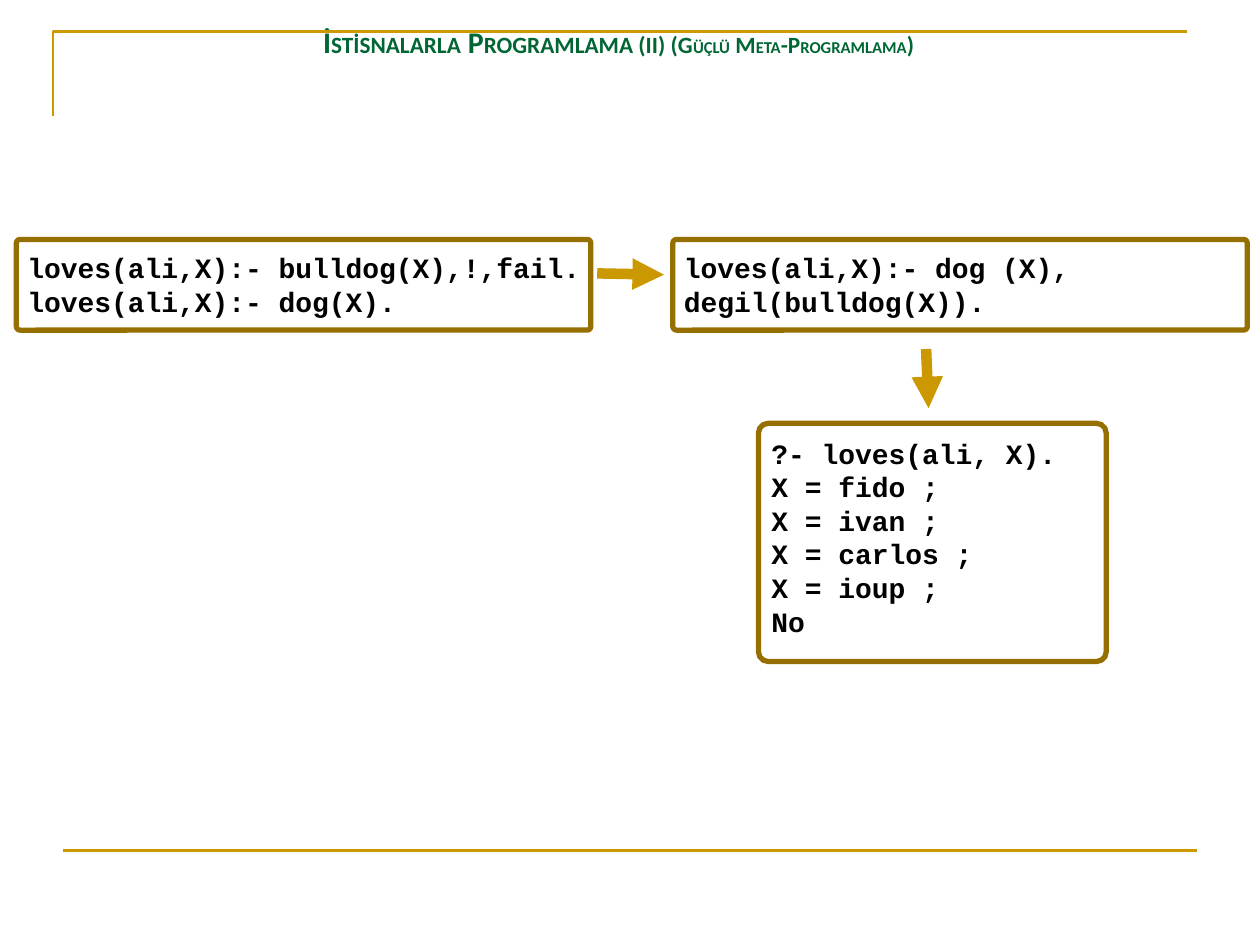
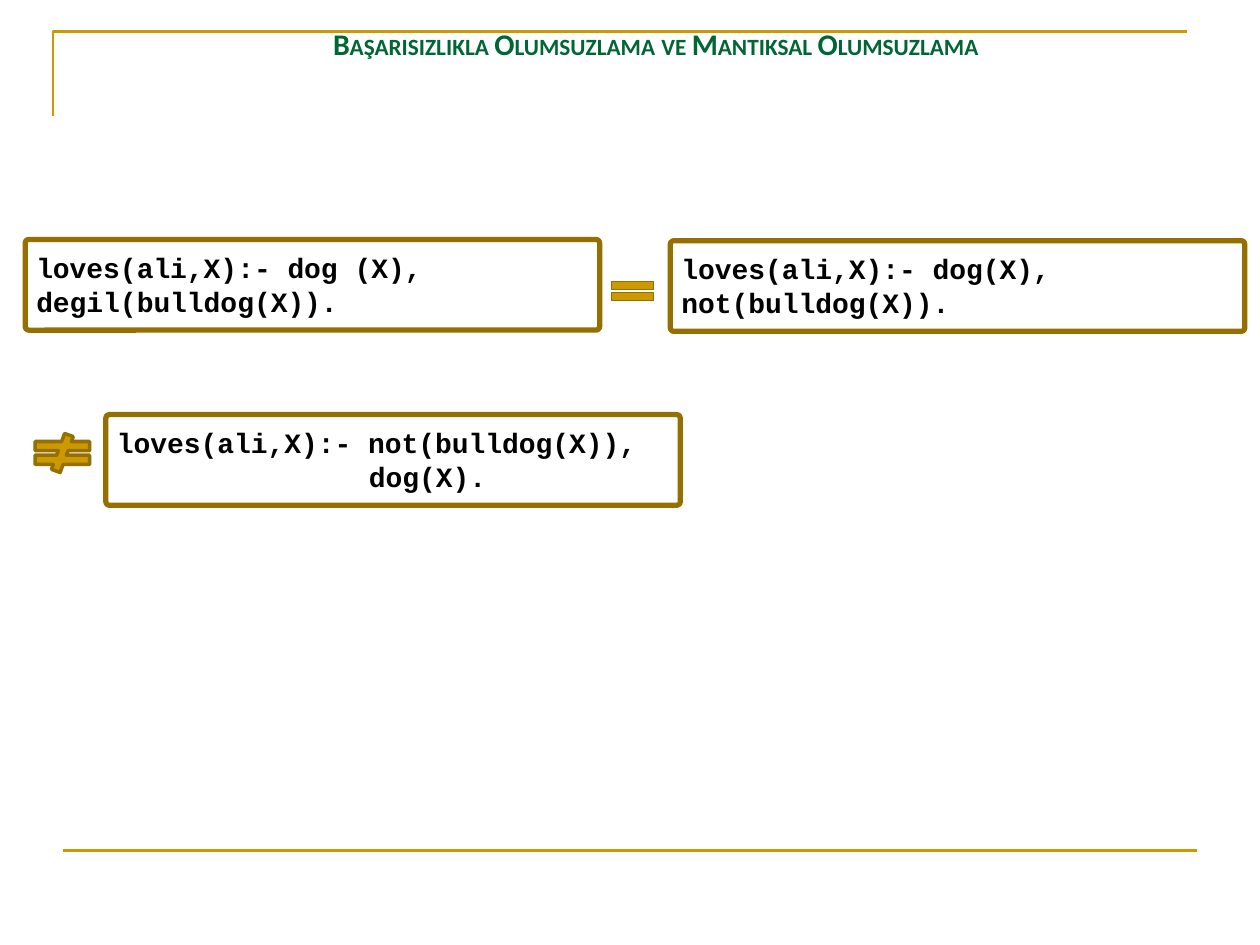
from lxml import etree
from pptx import Presentation
from pptx.dml.color import RGBColor
from pptx.enum.shapes import MSO_CONNECTOR, MSO_SHAPE
from pptx.enum.text import MSO_ANCHOR, MSO_AUTO_SIZE, PP_ALIGN
from pptx.oxml.ns import qn
from pptx.util import Inches, Pt

STRAIGHT = MSO_CONNECTOR.STRAIGHT
ROUNDED = MSO_SHAPE.ROUNDED_RECTANGLE
EQUAL, NOT_EQUAL = MSO_SHAPE.MATH_EQUAL, MSO_SHAPE.MATH_NOT_EQUAL
TOP = MSO_ANCHOR.TOP
CENTER, LEFT = PP_ALIGN.CENTER, PP_ALIGN.LEFT
NO_AUTOFIT = MSO_AUTO_SIZE.NONE

GOLD = RGBColor(0xCC, 0x99, 0x00)
ARROW_GOLD = RGBColor(0xCC, 0x98, 0x00)
BROWN = RGBColor(0x95, 0x6F, 0x00)
GREEN = RGBColor(0x00, 0x66, 0x33)
BLACK = RGBColor(0x00, 0x00, 0x00)

TITLE_FONT, CODE_FONT = "Calibri", "Courier New"
BIG, MID, SMALL = 17.1, 13.3, 9.5  # title capitals and small capitals
CODE_SIZE = (4.56, 0.72)


def style_line(shape, color, width):
    shape.line.color.rgb = color
    shape.line.width = Pt(width)


def add_line(page, start, end, color, width, arrow=False):
    line = page.shapes.add_connector(
        STRAIGHT, *(Inches(value) for value in (*start, *end)))
    style_line(line, color, width)
    properties = line._element.spPr
    if arrow:
        outline = properties.find(qn("a:ln"))
        etree.SubElement(outline, qn("a:tailEnd"), type="triangle")
    etree.SubElement(properties, qn("a:effectLst"))


def add_page_rules(page):
    """Corner bracket at the top and rule at the foot."""
    builder = page.shapes.build_freeform(Inches(0.42), Inches(0.92))
    builder.add_line_segments(
        [(Inches(0.42), Inches(0.25)), (Inches(9.42), Inches(0.25))], close=False)
    bracket = builder.convert_to_shape()
    bracket.shadow.inherit = False
    bracket.fill.background()
    style_line(bracket, GOLD, 1.5)
    add_line(page, (0.5, 6.75), (9.5, 6.75), GOLD, 1.5)


def add_title(page, left, top, width, spans):
    title = page.shapes.title
    title.left, title.top = Inches(left), Inches(top)
    title.width, title.height = Inches(width), Inches(0.81)
    frame = title.text_frame
    frame.auto_size = NO_AUTOFIT
    frame.vertical_anchor = TOP
    para = frame.paragraphs[0]
    para.alignment = CENTER
    para.line_spacing = 0.8
    para.font.name = TITLE_FONT
    para.font.bold = True
    para.font.color.rgb = GREEN
    for text, size in spans:
        span = para.add_run()
        span.text = text
        span.font.size = Pt(size)


def add_page(deck, title_left, title_top, title_width, title_spans):
    page = deck.slides.add_slide(deck.slide_layouts[5])
    add_page_rules(page)
    add_title(page, title_left, title_top, title_width, title_spans)
    return page


def add_code(page, left, top, lines, size=CODE_SIZE, last_indent=0):
    """Rounded frame with one paragraph for each line of code."""
    box = page.shapes.add_shape(
        ROUNDED, *(Inches(value) for value in (left, top, *size)))
    box.adjustments[0] = 0.04
    box.shadow.inherit = False
    box.fill.background()
    style_line(box, BROWN, 3)
    frame = box.text_frame
    frame.word_wrap = True
    frame.vertical_anchor = TOP
    frame.margin_left = frame.margin_top = Inches(0.08)
    frame.margin_right = frame.margin_bottom = 0
    for number, line in enumerate(lines):
        para = frame.add_paragraph() if number else frame.paragraphs[0]
        para.text = line
        para.alignment = LEFT
        para.font.name = CODE_FONT
        para.font.size = Pt(16)
        para.font.bold = True
        para.font.color.rgb = BLACK
    if last_indent:
        para._p.get_or_add_pPr().set("marL", str(Inches(last_indent)))


def add_sign(page, kind, left, top, width, height, line_width):
    sign = page.shapes.add_shape(
        kind, Inches(left), Inches(top), Inches(width), Inches(height))
    sign.shadow.inherit = False
    sign.fill.solid()
    sign.fill.fore_color.rgb = GOLD
    style_line(sign, BROWN, line_width)


def add_exceptions_page(deck):
    page = add_page(deck, 0.41, 0.19, 9, [
        ("İ", BIG), ("STİSNALARLA", MID), (" P", BIG),
        ("ROGRAMLAMA (II) (G", MID), ("ÜÇLÜ", SMALL), (" M", MID),
        ("ETA", SMALL), ("-P", MID), ("ROGRAMLAMA", SMALL), (")", MID)])
    # Rule with a cut, rewritten without it
    add_code(page, 0.13, 1.9, ["loves(ali,X):- bulldog(X),!,fail.",
                               "loves(ali,X):- dog(X)."])
    add_line(page, (4.74, 2.17), (5.27, 2.18), ARROW_GOLD, 6, arrow=True)
    add_code(page, 5.34, 1.9, ["loves(ali,X):- dog (X),", "degil(bulldog(X))."])
    # Query and its answers
    add_line(page, (7.35, 2.77), (7.37, 3.24), ARROW_GOLD, 6, arrow=True)
    names = ["fido", "ivan", "carlos", "ioup"]
    answers = [f"X = {name} ;" for name in names]
    add_code(page, 6.02, 3.36, ["?- loves(ali, X).", *answers, "No"],
             size=(2.76, 1.89))


def add_negation_page(deck):
    page = add_page(deck, 0.27, 0.21, 9.87, [
        ("B", BIG), ("AŞARISIZLIKLA ", MID), ("O", BIG), ("LUMSUZLAMA", MID),
        (" ", 15.2), ("VE ", MID), ("M", BIG), ("ANTIKSAL ", MID),
        ("O", BIG), ("LUMSUZLAMA", MID)])
    # Equivalent rules
    add_code(page, 0.2, 1.9, ["loves(ali,X):- dog (X),", "degil(bulldog(X))."])
    add_sign(page, EQUAL, 4.79, 2.18, 0.46, 0.26, 0.5)
    add_code(page, 5.32, 1.91, ["loves(ali,X):- dog(X),", "not(bulldog(X))."])
    # Rule with the goals swapped
    add_sign(page, NOT_EQUAL, 0.2, 3.44, 0.59, 0.31, 2)
    add_code(page, 0.84, 3.29, ["loves(ali,X):- not(bulldog(X)),", "dog(X)."],
             last_indent=2)


def main():
    deck = Presentation()
    deck.slide_width, deck.slide_height = Inches(10), Inches(7.5)
    add_exceptions_page(deck)
    add_negation_page(deck)
    deck.save("out.pptx")


if __name__ == "__main__":
    main()
